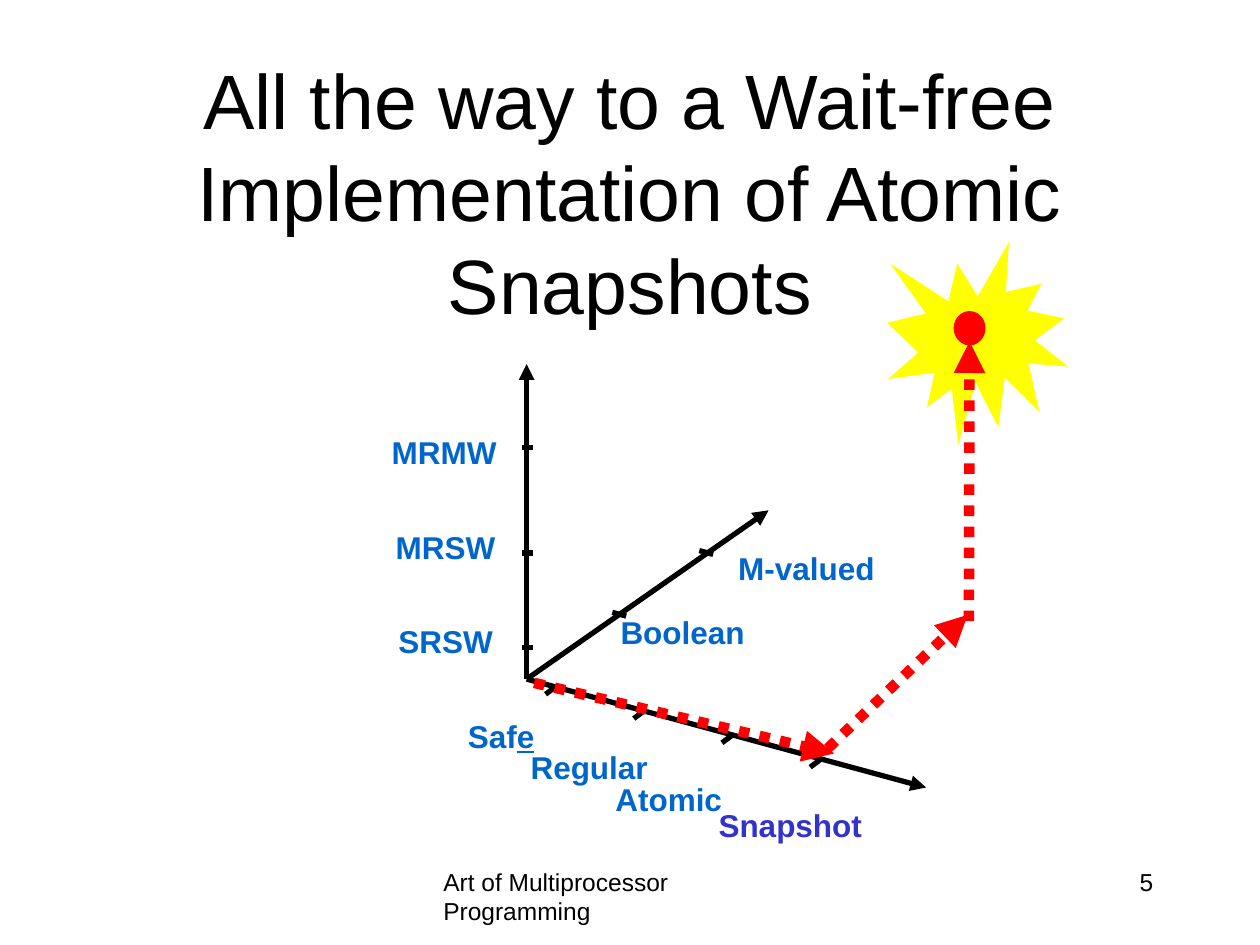
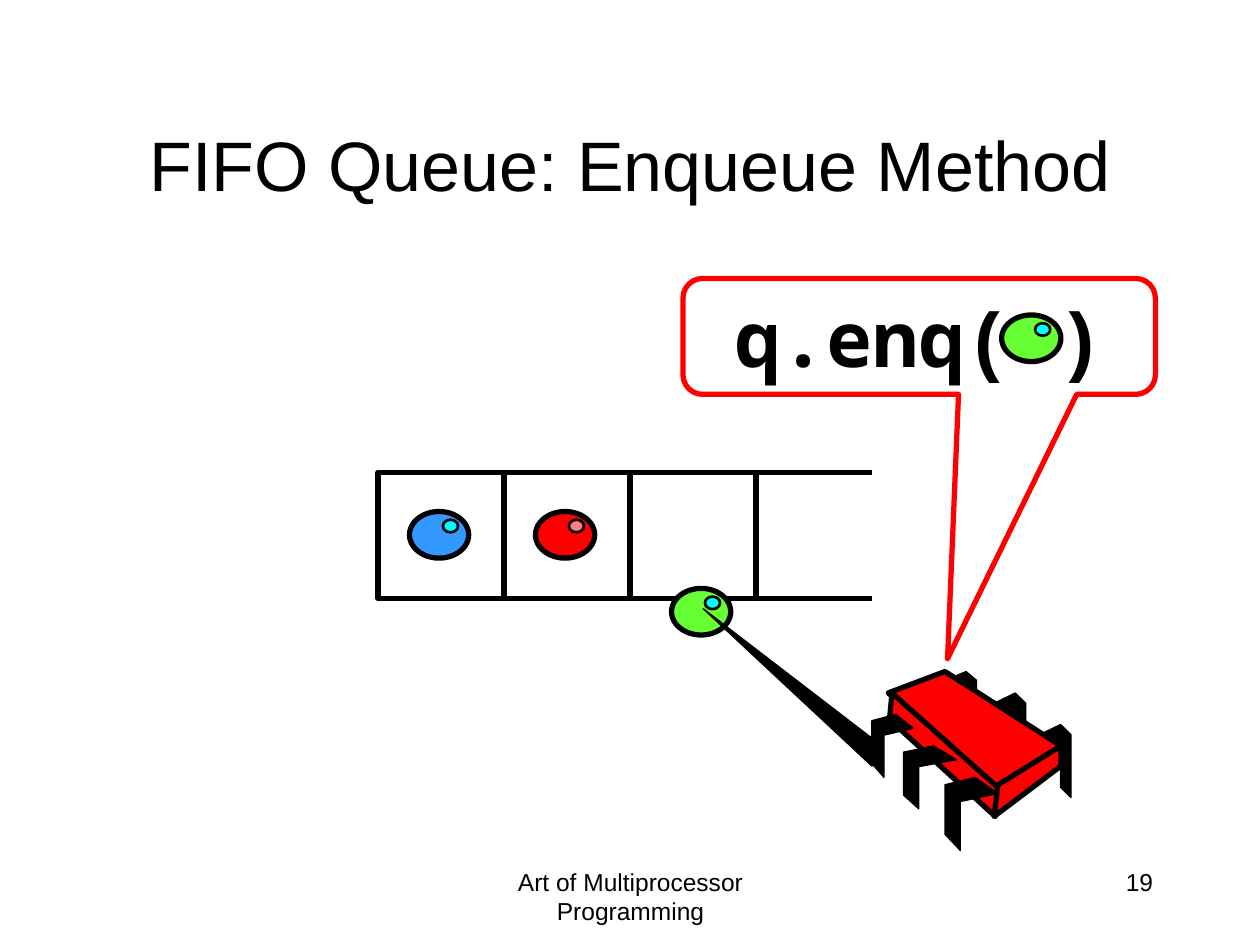
from typing import NamedTuple

from lxml import etree
from pptx import Presentation
from pptx.dml.color import RGBColor
from pptx.enum.dml import MSO_LINE
from pptx.enum.shapes import MSO_CONNECTOR, MSO_SHAPE
from pptx.enum.text import MSO_ANCHOR, MSO_AUTO_SIZE, PP_ALIGN
from pptx.oxml.ns import qn
from pptx.util import Inches, Pt

LEFT, CENTER, RIGHT = PP_ALIGN.LEFT, PP_ALIGN.CENTER, PP_ALIGN.RIGHT
MIDDLE, NO_FIT = MSO_ANCHOR.MIDDLE, MSO_AUTO_SIZE.NONE
OVAL, RECTANGLE = MSO_SHAPE.OVAL, MSO_SHAPE.RECTANGLE
BURST, CALLOUT = MSO_SHAPE.EXPLOSION1, MSO_SHAPE.ROUNDED_RECTANGULAR_CALLOUT
STRAIGHT, DOTTED = MSO_CONNECTOR.STRAIGHT, MSO_LINE.ROUND_DOT

WIDTH, HEIGHT = Inches(10), Inches(7.5)
COLUMNS, ROWS = 100, 75
FONT = "Arial"
FOOTER = "Art of Multiprocessor Programming"
TITLE_ONLY = 5
COLORS = {
    "black": "000000", "red": "FF0000", "yellow": "FFFF00", "label": "0066CC",
    "snapshot": "3333CC", "blue": "3399FF", "green": "66FF33",
    "cyan": "00FFFF", "pink": "FF7C80",
}


class Point(NamedTuple):
    """A place in grid columns and rows."""
    x: float
    y: float

    def shifted(self, dx: float, dy: float) -> "Point":
        return Point(self.x + dx, self.y + dy)


class Box(NamedTuple):
    """Left, top, width and height in grid columns and rows."""
    x: float
    y: float
    width: float
    height: float


class Label(NamedTuple):
    text: str
    x: float
    y: float
    width: float
    color: str = "label"
    underlined: str = ""


class Ball(NamedTuple):
    x: float
    y: float
    color: str
    glint: str = "cyan"


TITLE_SIZE = (85, 12.5)
FOOTER_BOX = Box(34.2, 68.3, 31.7, 5)
NUMBER_BOX = Box(71.7, 68.3, 20.8, 5)

ORIGIN = Point(41.8, 53.9)
AXIS_TIPS = [Point(41.8, 28.9), Point(61, 40.5), Point(73.5, 62.5)]
LABELS = [
    Label("MRMW", 29.8, 33.9, 10.6),
    Label("MRSW", 30.1, 41.4, 10.2),
    Label("SRSW", 30.4, 48.9, 9.7),
    Label("Saf", 36.1, 56.4, 7.3, underlined="e"),
    Label("Regular", 41, 58.9, 11.4),
    Label("Atomic", 47.7, 61.4, 10.6),
    Label("M-valued", 57.2, 43.1, 13.2),
    Label("Boolean", 48.1, 48.2, 12),
    Label("Snapshot", 55.9, 63.5, 13.5, "snapshot"),
]

# Outlines as shares of a leg's box
BACK_LEG = [(0, .14), (.67, 0), (1, .14), (1, 1), (.67, .86), (.67, .29), (0, .43)]
FRONT_LEG = [(.57, 0), (1, .22), (.29, .33), (.29, 1), (0, .78), (0, .1)]
BACK_LEGS = [Box(82.5, 57.5, 2.5, 5.8), Box(78.9, 55, 2.5, 5.8), Box(75, 53.3, 2.5, 5)]
FRONT_LEGS = [Box(75, 61.7, 4.2, 5.8), Box(71.7, 59.2, 4.2, 5), Box(69.2, 56.7, 3.3, 5)]
CHIP_FACES = [
    [(75, 53.3), (84.2, 59.2), (79, 62.6), (70.5, 55)],
    [(70.8, 55), (79.2, 62.5), (79, 64.8), (70.6, 57.1)],
    [(84.2, 59.2), (84.2, 60.8), (78.9, 64.8), (79.2, 62.3)],
]
ARM = [(69.2, 60.8), (70, 59.2), (55.8, 48.3)]

CELL, QUEUE = 10, Point(30, 37.5)


def across(columns: float) -> int:
    return round(WIDTH * columns / COLUMNS)


def down(rows: float) -> int:
    return round(HEIGHT * rows / ROWS)


def place(box: Box) -> tuple[int, int, int, int]:
    return across(box.x), down(box.y), across(box.width), down(box.height)


def rgb(color: str) -> RGBColor:
    return RGBColor.from_string(COLORS[color])


def style_font(font, size: float, color: str = "black", bold: bool = False,
               name: str | None = FONT) -> None:
    font.size, font.bold = Pt(size), bold
    font.color.rgb = rgb(color)
    if name:
        font.name = name


def paint(shape, fill: str | None, line: str | None, weight: float) -> None:
    shape.shadow.inherit = False
    if fill:
        shape.fill.solid()
        shape.fill.fore_color.rgb = rgb(fill)
    else:
        shape.fill.background()
    if line:
        shape.line.color.rgb = rgb(line)
        shape.line.width = Pt(weight)
    else:
        shape.line.fill.background()


def add_figure(shapes, kind, box: Box, fill: str | None = None,
               line: str | None = "black", weight: float = 3):
    shape = shapes.add_shape(kind, *place(box))
    paint(shape, fill, line, weight)
    return shape


def add_outline(shapes, points, fill: str, weight: float) -> None:
    corners = [(across(x), down(y)) for x, y in points]
    builder = shapes.build_freeform(*corners[0])
    builder.add_line_segments(corners[1:], close=True)
    paint(builder.convert_to_shape(), fill, "black", weight)


def add_line(slide, start: Point, end: Point, color: str = "black", weight: float = 3,
             dotted: bool = False, arrow: bool = False, target=None) -> None:
    """Draw a line; with a target, end at the middle of its bottom side."""
    connector = slide.shapes.add_connector(
        STRAIGHT, across(start.x), down(start.y), across(end.x), down(end.y))
    if target is not None:
        connector.end_connect(target, 2)
    connector.line.color.rgb = rgb(color)
    connector.line.width = Pt(weight)
    if dotted:
        connector.line.dash_style = DOTTED
    properties = connector._element.spPr
    if arrow:
        etree.SubElement(properties.get_or_add_ln(), qn("a:tailEnd"), type="triangle")
    etree.SubElement(properties, qn("a:effectLst"))


def add_text(slide, text: str, box: Box, size: float, align, color: str = "black",
             bold: bool = False, wrap: bool = True):
    frame = slide.shapes.add_textbox(*place(box)).text_frame
    frame.word_wrap = wrap
    paragraph = frame.paragraphs[0]
    paragraph.alignment = align
    paragraph.add_run().text = text
    style_font(paragraph.font, size, color, bold)
    return paragraph


def add_label(slide, label: Label) -> None:
    paragraph = add_text(slide, label.text, Box(label.x, label.y, label.width, 4), 18,
                         RIGHT, label.color, bold=True, wrap=False)
    if label.underlined:
        run = paragraph.add_run()
        run.text = label.underlined
        run.font.underline = True


def add_ball(slide, ball: Ball) -> None:
    shapes = slide.shapes.add_group_shape().shapes
    add_figure(shapes, OVAL, Box(ball.x, ball.y, 4.7, 3.7), ball.color)
    add_figure(shapes, OVAL, Box(ball.x + 2.65, ball.y + .65, 1.2, 1), ball.glint, weight=1.5)


def add_titled_slide(presentation, title: str, title_top: float, title_size: float,
                     number: str, footer_align):
    slide = presentation.slides.add_slide(presentation.slide_layouts[TITLE_ONLY])
    shape = slide.shapes.title
    shape.left, shape.top, shape.width, shape.height = place(Box(7.5, title_top, *TITLE_SIZE))
    frame = shape.text_frame
    frame.text = title
    frame.word_wrap, frame.auto_size, frame.vertical_anchor = True, NO_FIT, MIDDLE
    frame.paragraphs[0].alignment = CENTER
    style_font(frame.paragraphs[0].font, title_size)
    add_text(slide, FOOTER, FOOTER_BOX, 14, footer_align)
    add_text(slide, number, NUMBER_BOX, 14, RIGHT)
    return slide


def build_register_space(presentation) -> None:
    slide = add_titled_slide(
        presentation, "All the way to a Wait-free Implementation of Atomic Snapshots",
        8.9, 44, "5", LEFT)
    add_figure(slide.shapes, BURST, Box(70.4, 19.2, 14.4, 16.1), "yellow", None)
    for tip in AXIS_TIPS:
        add_line(slide, ORIGIN, tip, arrow=True)
    for label in LABELS:
        add_label(slide, label)

    ticks = [(Point(41.4, y), .9, 0) for y in (51.4, 43.9, 35.5)]
    ticks += [(Point(x, y), 1.1, .3) for x, y in ((48.6, 48.6), (55.5, 43.7))]
    ticks += [(Point(43.3 + 7 * i, 55.1 + 1.93 * i), .8, -.6) for i in range(4)]
    for start, dx, dy in ticks:
        add_line(slide, start, start.shifted(dx, dy))

    goal = add_figure(slide.shapes, OVAL, Box(76, 25, 1.9, 2.1), "red", "red", 4.5)
    journey = [
        (Point(42.4, 54.2), Point(66.2, 59.8), None),
        (Point(65.7, 59.4), Point(76.8, 48.8), None),
        (Point(76.9, 49.3), Point(77, 27.1), goal),
    ]
    for start, end, target in journey:
        add_line(slide, start, end, "red", 6, dotted=True, arrow=True, target=target)


def add_processor(slide) -> None:
    def add_legs(boxes: list[Box], outline) -> None:
        for box in boxes:
            points = [(box.x + box.width * x, box.y + box.height * y) for x, y in outline]
            add_outline(shapes, points, "black", .75)

    shapes = slide.shapes.add_group_shape().shapes
    add_legs(BACK_LEGS, BACK_LEG)
    for face in CHIP_FACES:
        add_outline(shapes, face, "red", 3)
    add_legs(FRONT_LEGS, FRONT_LEG)


def add_call(slide) -> None:
    """Draw the speech bubble with the method call."""
    bubble = add_figure(slide.shapes, CALLOUT, Box(54.2, 22.1, 37.5, 9.2), line="red")
    for index, value in enumerate((.06, 2.78, .17)):
        bubble.adjustments[index] = value
    frame = bubble.text_frame
    frame.vertical_anchor = MIDDLE
    paragraph = frame.paragraphs[0]
    paragraph.alignment = CENTER
    for text, name in (("q.enq", "Noto Sans Mono"), ("( )", "Courier New")):
        run = paragraph.add_run()
        run.text, run.font.name = text, name
    style_font(paragraph.font, 44, bold=True, name=None)


def build_queue(presentation) -> None:
    slide = add_titled_slide(
        presentation, "FIFO Queue: Enqueue Method", 6.7, 40, "19", CENTER)
    for index in range(3):
        add_figure(slide.shapes, RECTANGLE, Box(QUEUE.x + index * CELL, QUEUE.y, CELL, CELL))
    for y in (QUEUE.y, QUEUE.y + CELL):
        add_line(slide, Point(59.2, y), Point(69.2, y))
    for ball in (Ball(32.5, 40.6, "blue"), Ball(42.5, 40.6, "red", "pink"),
                 Ball(53.3, 46.7, "green")):
        add_ball(slide, ball)
    add_processor(slide)
    add_outline(slide.shapes, ARM, "black", .75)
    add_call(slide)
    add_ball(slide, Ball(79.5, 25, "green"))


def main() -> None:
    presentation = Presentation()
    presentation.slide_width, presentation.slide_height = WIDTH, HEIGHT
    build_register_space(presentation)
    build_queue(presentation)
    presentation.save("out.pptx")


if __name__ == "__main__":
    main()
